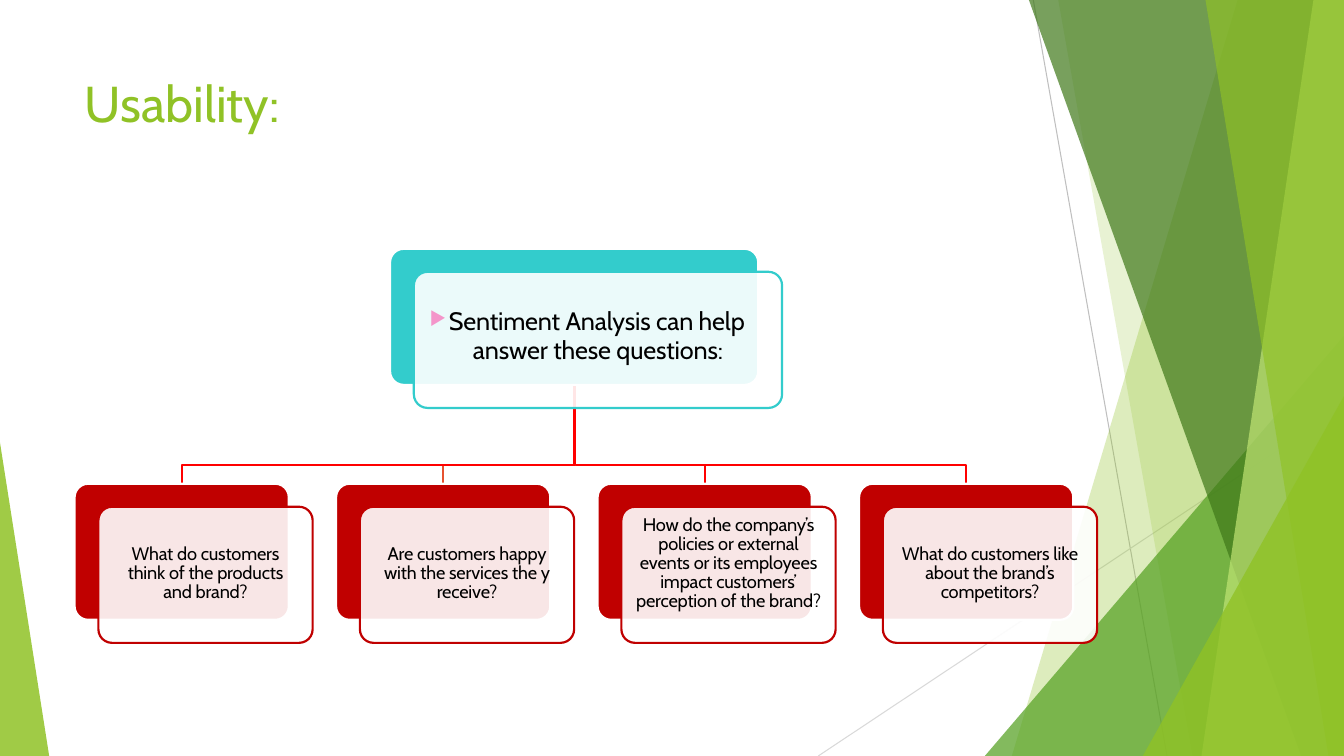
from lxml.etree import SubElement
from pptx import Presentation
from pptx.dml.color import RGBColor
from pptx.enum.shapes import MSO_CONNECTOR, MSO_SHAPE
from pptx.enum.text import MSO_ANCHOR, PP_ALIGN
from pptx.oxml.ns import qn
from pptx.util import Cm, Pt

WIDTH, HEIGHT = 33.87, 19.05
GREEN, TEAL, RED = "90C226", "33CCCC", "C00000"


def paint(shape, fill=None, opacity=100, line=None):
    """Set fill, fill opacity in percent and outline; None means no paint."""
    shape.shadow.inherit = False
    if fill:
        shape.fill.solid()
        shape.fill.fore_color.rgb = RGBColor.from_string(fill)
        color = shape.fill._xPr.find(qn("a:solidFill"))[0]
        SubElement(color, qn("a:alpha"), val=str(opacity * 1000))
    else:
        shape.fill.background()
    if line:
        shape.line.color.rgb = RGBColor.from_string(line)
        shape.line.width = Pt(1.56)
    else:
        shape.line.fill.background()


def format_text(paragraph, size, color, spacing=0):
    """Format every run and line break; spacing is in hundredths of a point."""
    for line_break in paragraph._p.findall(qn("a:br")):
        SubElement(line_break, qn("a:rPr"), sz=str(size * 100))
    for run in paragraph.runs:
        run.font.name = "Cabin"
        run.font.size = Pt(size)
        run.font.color.rgb = RGBColor.from_string(color)
        run._r.get_or_add_rPr().set("spc", str(spacing))


presentation = Presentation()
presentation.slide_width = Cm(WIDTH)
presentation.slide_height = Cm(HEIGHT)
slide = presentation.slides.add_slide(presentation.slide_layouts[5])
shapes = slide.shapes

# Thin lines behind the green facets
for x1, y1, x2, y2, color in [
    (26.04, 0, 29.41, HEIGHT, "BFBFBF"),
    (WIDTH, 10.24, 20.62, HEIGHT, "D9D9D9"),
]:
    connector = shapes.add_connector(
        MSO_CONNECTOR.STRAIGHT, Cm(x1), Cm(y1), Cm(x2), Cm(y2))
    connector.line.color.rgb = RGBColor.from_string(color)
    connector.line.width = Pt(0.75)
    SubElement(connector._element.spPr, qn("a:effectLst"))

# Facets at the right edge: a top x makes a full-height wedge, otherwise a triangle
for top_x, top_y, bottom_x, color, opacity in [
    (31.19, 0, 25.5, GREEN, 30),
    (26.67, 0, 30.05, GREEN, 20),
    (None, 8.46, 24.82, "54A021", 72),
    (25.93, 0, 32.79, "3F7819", 70),
    (33.1, 0, 30.28, "C0E474", 70),
    (30.38, 0, 33.48, GREEN, 65),
    (None, 9.98, 28.8, GREEN, 80),
]:
    if top_x is None:
        facet = shapes.add_shape(
            MSO_SHAPE.ISOSCELES_TRIANGLE, Cm(bottom_x), Cm(top_y),
            Cm(WIDTH - bottom_x), Cm(HEIGHT - top_y))
        facet.adjustments[0] = 1
    else:
        builder = shapes.build_freeform(Cm(top_x), Cm(top_y))
        builder.add_line_segments([
            (Cm(WIDTH), Cm(top_y)), (Cm(WIDTH), Cm(HEIGHT)),
            (Cm(bottom_x), Cm(HEIGHT))])
        facet = builder.convert_to_shape()
    paint(facet, color, opacity)

left_facet = shapes.add_shape(
    MSO_SHAPE.ISOSCELES_TRIANGLE, 0, Cm(11.15), Cm(1.24), Cm(7.9))
left_facet.adjustments[0] = 0
paint(left_facet, GREEN, 85)

title = shapes.title
title.left, title.top, title.width, title.height = Cm(1.88), Cm(1.7), Cm(23.88), Cm(3.66)
title.text_frame.text = "Usability:"
title.text_frame.vertical_anchor = MSO_ANCHOR.TOP
title.text_frame.paragraphs[0].alignment = PP_ALIGN.LEFT
format_text(title.text_frame.paragraphs[0], 36, GREEN)

CARD_HEIGHT, OFFSET_X, OFFSET_Y = 3.43, 0.6, 0.58
ROOT_LEFT, ROOT_TOP, ROOT_WIDTH = 9.83, 6.27, 9.28
QUESTION_TOP, QUESTION_WIDTH = 12.19, 5.4
question_lefts = [1.88 + 6.59 * index for index in range(4)]

# Branches from the root card to the questions
STEM_X, BAR_Y = 14.48, 11.71
for left, color in reversed(list(zip(
        question_lefts, ["FF0000", "E65230", "FF0000", "FF0000"]))):
    branch_x = left + QUESTION_WIDTH / 2
    builder = shapes.build_freeform(Cm(STEM_X), Cm(ROOT_TOP + CARD_HEIGHT))
    builder.add_line_segments([
        (Cm(STEM_X), Cm(BAR_Y)), (Cm(branch_x), Cm(BAR_Y)),
        (Cm(branch_x), Cm(QUESTION_TOP))], close=False)
    paint(builder.convert_to_shape(), line=color)

# Cards: a coloured back and a translucent front that holds the text
questions = [
    ("What do customers\vthink of the products\vand brand?", 0.86),
    ("Are customers happy\vwith the services the y\vreceive?", 0.86),
    ("How do the company’s\vpolicies or external\vevents or its employees\v"
     "impact customers’\vperception of the brand?", 0.15),
    ("What do customers like\vabout the brand’s\vcompetitors?", 0.86),
]
cards = [(ROOT_LEFT, ROOT_TOP, ROOT_WIDTH, TEAL, 18, 0.8,
          "Sentiment Analysis can help\nanswer these questions:")]
cards += [(left, QUESTION_TOP, QUESTION_WIDTH, RED, 13, margin, text)
          for left, (text, margin) in zip(question_lefts, questions)]

text_frames = []
for left, top, width, color, size, margin_top, text in cards:
    for shift, fill, opacity, line in [(0, color, 100, "FFFFFF"), (1, "FFFFFF", 90, color)]:
        card = shapes.add_shape(
            MSO_SHAPE.ROUNDED_RECTANGLE, Cm(left + shift * OFFSET_X),
            Cm(top + shift * OFFSET_Y), Cm(width), Cm(CARD_HEIGHT))
        card.adjustments[0] = 0.1
        paint(card, fill, opacity, line)
    text_frame = card.text_frame
    text_frame.word_wrap = True
    text_frame.vertical_anchor = MSO_ANCHOR.TOP
    text_frame.margin_left = text_frame.margin_right = text_frame.margin_bottom = 0
    text_frame.margin_top = Cm(margin_top)
    text_frame.text = text
    for paragraph in text_frame.paragraphs:
        paragraph.alignment = PP_ALIGN.CENTER
        paragraph.line_spacing = 0.87
        paragraph.space_before = Pt(3)
        format_text(paragraph, size, "000000", -10)
    text_frames.append(text_frame)

# The root card has fixed line spacing and a bullet on its first line
root_frame = text_frames[0]
root_frame.margin_left = root_frame.margin_right = Cm(0.3)
for paragraph, space_before in zip(root_frame.paragraphs, [1, 0]):
    paragraph.line_spacing = Pt(20.2)
    paragraph.space_before = Pt(space_before)
first_line = root_frame.paragraphs[0]
first_line.alignment = PP_ALIGN.LEFT
properties = first_line._p.get_or_add_pPr()
properties.set("marL", str(Cm(0.48)))
properties.set("indent", str(Cm(-0.48)))
bullet_color = SubElement(properties, qn("a:buClr"))
SubElement(bullet_color, qn("a:srgbClr"), val="F495CA")
SubElement(properties, qn("a:buSzPct"), val="75000")
SubElement(properties, qn("a:buChar"), char="▶")

presentation.save("out.pptx")
